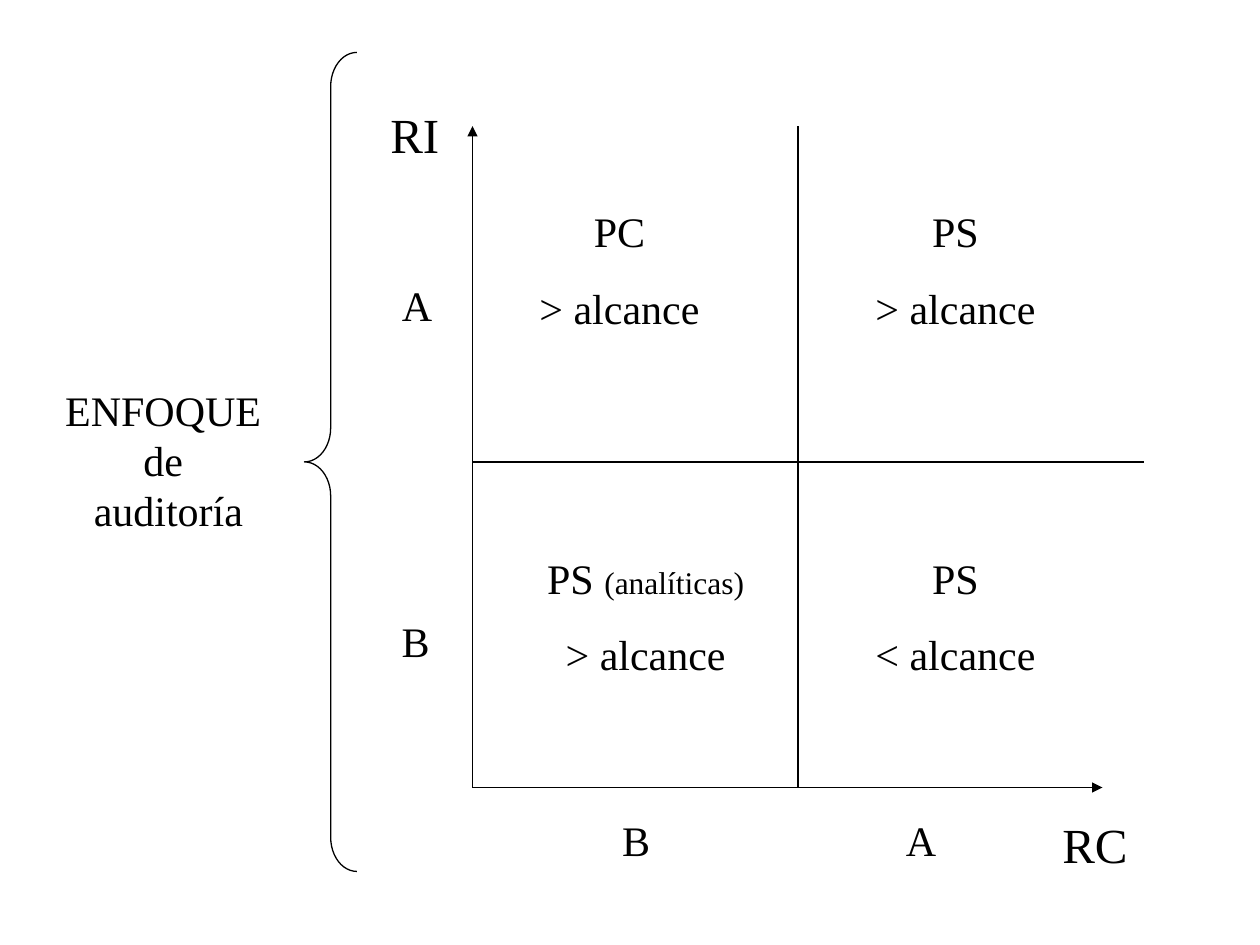
from lxml.etree import SubElement
from pptx import Presentation
from pptx.dml.color import RGBColor
from pptx.enum.shapes import MSO_CONNECTOR, MSO_SHAPE
from pptx.enum.text import MSO_AUTO_SIZE, PP_ALIGN
from pptx.oxml.ns import qn
from pptx.util import Pt

FONT = "Times New Roman"
INK = "000000"
AXIS_LEFT, AXIS_TOP, AXIS_BOTTOM = 270, 72, 450
COLUMN_SPLIT, ROW_SPLIT = 456, 264


def rgb(hex_color):
    return RGBColor.from_string(hex_color)


def format_run(run, size):
    run.font.name = FONT
    run.font.size = Pt(size)
    run.font.color.rgb = rgb(INK)


def add_text(slide, box, text, size=24, align=PP_ALIGN.LEFT, wrap=False):
    frame = slide.shapes.add_textbox(*map(Pt, box)).text_frame
    frame.word_wrap = wrap
    frame.auto_size = MSO_AUTO_SIZE.SHAPE_TO_FIT_TEXT
    frame.text = text
    for paragraph in frame.paragraphs:
        paragraph.alignment = align
        for run in paragraph.runs:
            format_run(run, size)
    return frame


def add_quadrant(slide, box, procedure, scope, note=""):
    """Write a procedure over its scope, with an optional smaller note."""
    frame = add_text(slide, box, f"{procedure}\n{scope}", align=PP_ALIGN.CENTER, wrap=True)
    for paragraph in frame.paragraphs:
        paragraph.space_before = Pt(15)
    if note:
        heading = frame.paragraphs[0]
        heading.space_before = Pt(11.25)
        note_run = heading.add_run()
        note_run.text = note
        format_run(note_run, 18)


def add_line(slide, start, end, arrow=False):
    line = slide.shapes.add_connector(MSO_CONNECTOR.STRAIGHT, *map(Pt, start + end))
    line.line.color.rgb = rgb(INK)
    line.line.width = Pt(0.75)
    if arrow:
        SubElement(line.line._get_or_add_ln(), qn("a:tailEnd"), type="triangle")
    SubElement(line._element.spPr, qn("a:effectLst"))


def add_brace(slide, box):
    brace = slide.shapes.add_shape(MSO_SHAPE.LEFT_BRACE, *map(Pt, box))
    brace.adjustments[0] = 1.3 / 2
    brace.shadow.inherit = False
    brace.fill.background()
    brace.line.color.rgb = rgb(INK)
    brace.line.width = Pt(0.75)


def main():
    deck = Presentation()
    deck.slide_width, deck.slide_height = Pt(720), Pt(540)
    slide = deck.slides.add_slide(deck.slide_layouts[6])

    add_text(slide, (30, 216, 132.5, 93.6), "ENFOQUE \nde \nauditoría", align=PP_ALIGN.CENTER)
    add_brace(slide, (174, 30, 30, 468))

    origin = (AXIS_LEFT, AXIS_BOTTOM)
    add_line(slide, origin, (AXIS_LEFT, AXIS_TOP), arrow=True)
    add_line(slide, origin, (630, AXIS_BOTTOM), arrow=True)
    add_line(slide, (COLUMN_SPLIT, AXIS_BOTTOM), (COLUMN_SPLIT, AXIS_TOP))
    add_line(slide, (AXIS_LEFT, ROW_SPLIT), (654, ROW_SPLIT))
    add_text(slide, (216, 56, 42.5, 41), "RI", size=28)
    add_text(slide, (600, 462, 52, 41), "RC", size=28)

    upper, lower, height = 114, 312, 80
    add_quadrant(slide, (294, upper, 120, height), "PC", "> alcance")
    add_quadrant(slide, (486, upper, 120, height), "PS", "> alcance")
    add_quadrant(slide, (300, lower, 138, height), "PS ", "> alcance", note="(analíticas)")
    add_quadrant(slide, (486, lower, 120, height), "PS", "< alcance")

    for level, width, row_top, column_left in (("A", 31.5, 156, 510.5), ("B", 30.5, 348, 348.5)):
        add_text(slide, (222.5, row_top, width, 36), level)
        add_text(slide, (column_left, 462, width, 36), level)

    deck.save("out.pptx")


if __name__ == "__main__":
    main()
